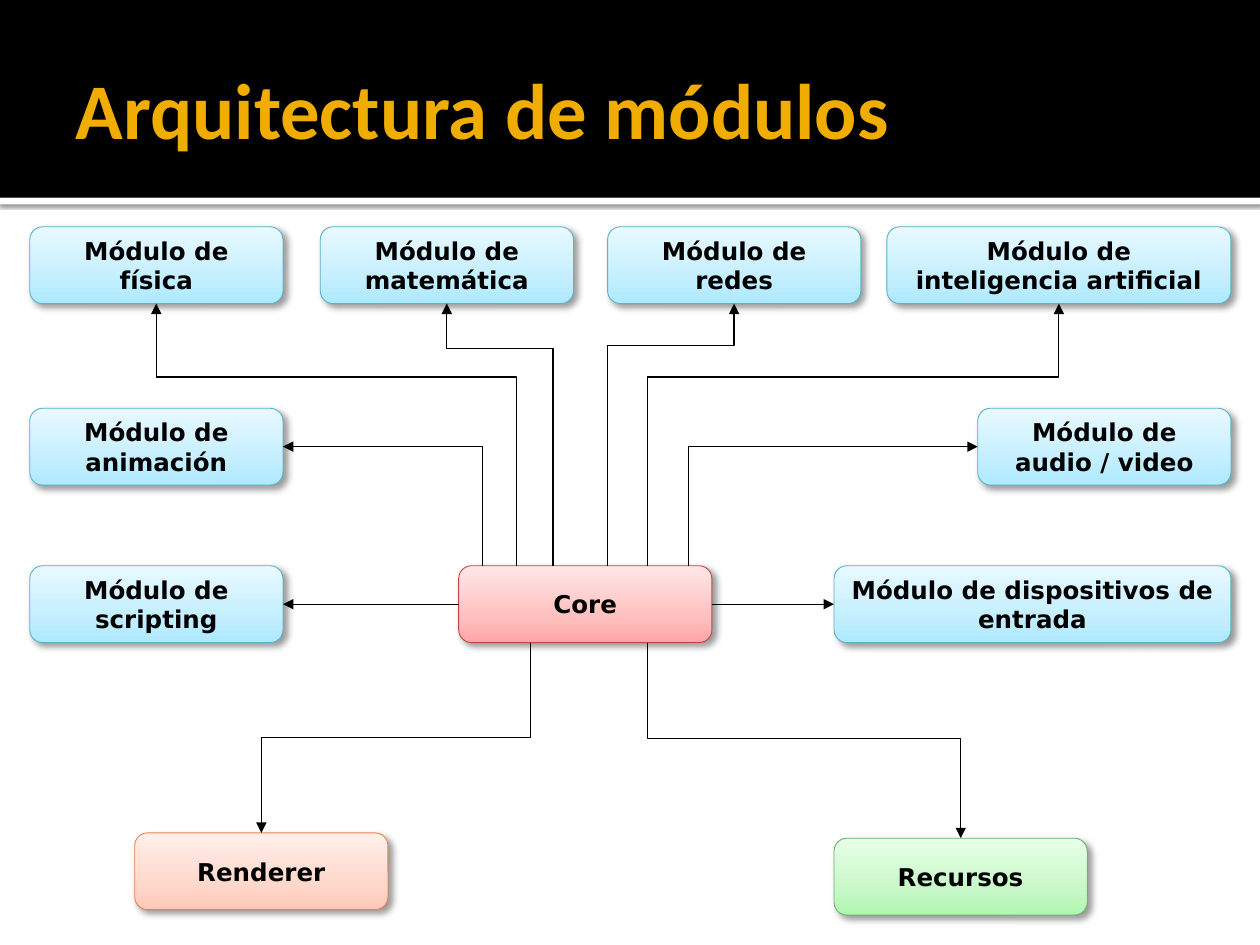
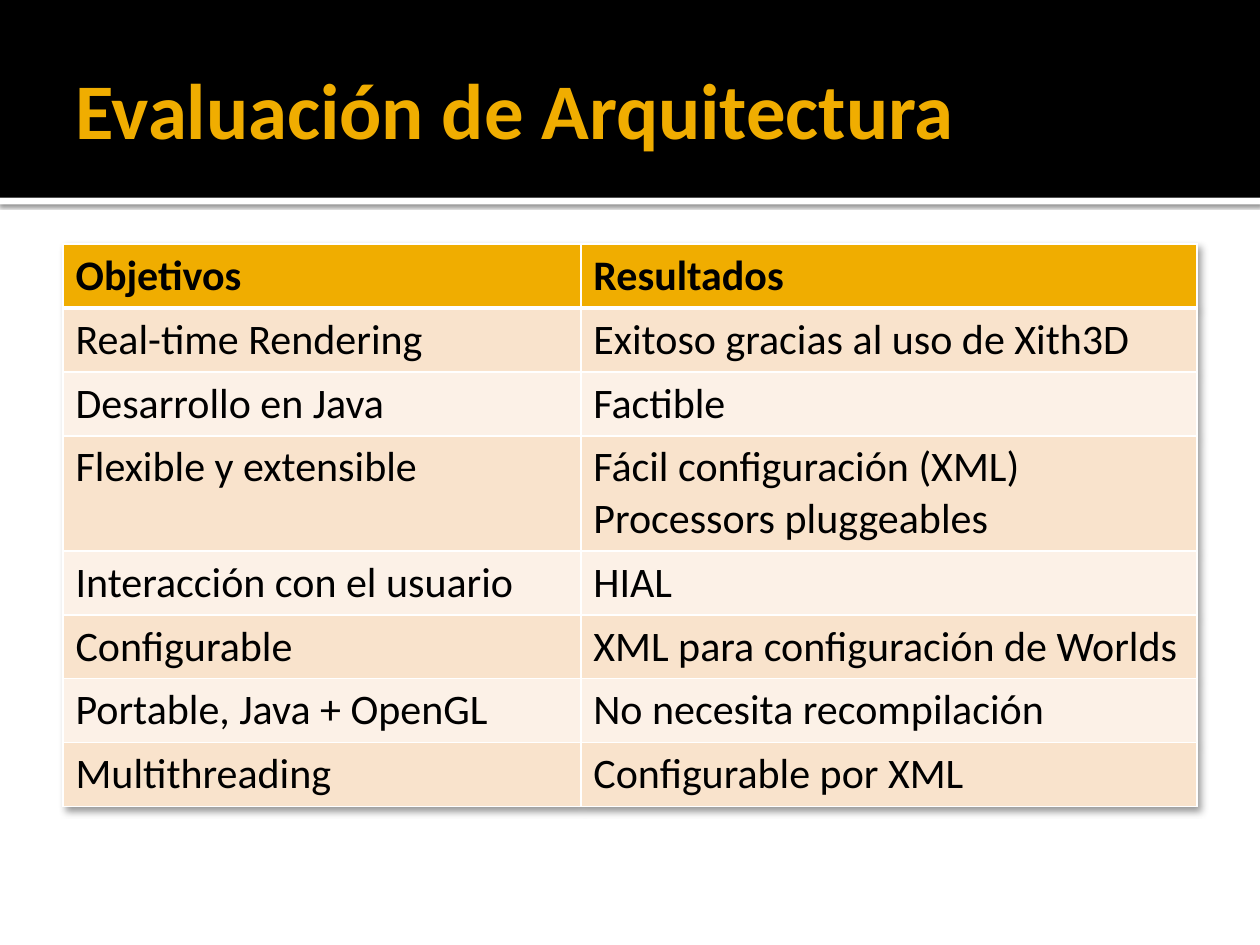
from lxml import etree
from pptx import Presentation
from pptx.dml.color import RGBColor
from pptx.enum import shapes, text
from pptx.oxml import ns
from pptx.util import Pt

BLACK, WHITE, AMBER = "000000", "FFFFFF", "F0AD00"
SAND, CREAM = "F9E3CC", "FCF1E7"
# Gradient from bottom to top, then the outline
BLUE = ("ADE9FF", "C5EFFF", "E9F9FF", "5BB3CA")
RED = ("FFA7A7", "FFC1C0", "FFE7E7", "C54342")
ORANGE = ("FFC8B7", "FFD8CC", "FFF0EC", "E7824C")
GREEN = ("B0F6B1", "C8F8C8", "E9FDE9", "67B569")
BOX_WIDTH, BOX_HEIGHT = 144.7, 43.9
LEFT_EDGE, RIGHT_EDGE = 17, 703.4
TOP_ROW, UPPER_ROW, CORE_ROW = 129.6, 233.3, 323.3


def color(value):
    return RGBColor.from_string(value)


def child(parent, tag, **attributes):
    """Append a DrawingML element and return it."""
    element = etree.SubElement(parent, ns.qn("a:" + tag))
    for name, value in attributes.items():
        element.set(name, str(value))
    return element


def add_color(parent, value, alpha=100):
    fill = child(parent, "srgbClr", val=value)
    if alpha < 100:
        child(fill, "alpha", val=alpha * 1000)


def add_shadow(effects, alpha=40, blur=4, distance=3, angle=45):
    shadow = child(effects, "outerShdw", blurRad=Pt(blur), dist=Pt(distance),
                   dir=angle * 60000, algn="tl", rotWithShape=0)
    add_color(shadow, BLACK, alpha)


class Deck:
    def __init__(self):
        self.presentation = Presentation()
        self.presentation.slide_width = Pt(720)
        self.presentation.slide_height = Pt(540)
        self.slide = None

    def format_text(self, paragraph, size, font="Calibri", value=BLACK, bold=True):
        paragraph.font.size = Pt(size)
        paragraph.font.name = font
        paragraph.font.bold = bold
        paragraph.font.color.rgb = color(value)

    def shape(self, kind, left, top, width, height):
        shape = self.slide.shapes.add_shape(kind, Pt(left), Pt(top), Pt(width), Pt(height))
        shape.shadow.inherit = False
        return shape

    def band(self, top, height, value):
        band = self.shape(shapes.MSO_SHAPE.RECTANGLE, 0, top, 720, height)
        band.fill.solid()
        band.fill.fore_color.rgb = color(value)
        band.line.fill.background()
        self.slide.shapes.title._element.addprevious(band._element)
        return band

    def new_slide(self, heading):
        self.slide = self.presentation.slides.add_slide(self.presentation.slide_layouts[5])
        strip = self.band(113, 3.8, WHITE)
        add_shadow(strip._element.spPr.find(ns.qn("a:effectLst")), 60, 2.5, 0.8, 90)
        self.band(0, 113, BLACK)
        title = self.slide.shapes.title
        title.left, title.top, title.width, title.height = Pt(36), Pt(12.2), Pt(648), Pt(98.6)
        frame = title.text_frame
        frame.text = heading
        frame.auto_size = text.MSO_AUTO_SIZE.NONE
        frame.vertical_anchor = text.MSO_ANCHOR.MIDDLE
        frame.margin_left = Pt(7.2)
        frame.margin_right = frame.margin_top = frame.margin_bottom = Pt(3.6)
        frame.paragraphs[0].alignment = text.PP_ALIGN.LEFT
        self.format_text(frame.paragraphs[0], 45, value=AMBER)

    def box(self, label, left, top, palette=BLUE, width=BOX_WIDTH):
        box = self.shape(shapes.MSO_SHAPE.FLOWCHART_ALTERNATE_PROCESS,
                         left, top, width, BOX_HEIGHT)
        *tints, outline = palette
        box.fill.gradient()
        box.fill.gradient_angle = 90
        properties = box._element.spPr
        stops = properties.find(".//" + ns.qn("a:gsLst"))
        stops.clear()
        for position, tint in zip((0, 35, 100), tints):
            add_color(child(stops, "gs", pos=position * 1000), tint)
        box.line.color.rgb = color(outline)
        box.line.width = Pt(0.5)
        add_shadow(properties.find(ns.qn("a:effectLst")))
        frame = box.text_frame
        frame.word_wrap = True
        frame.vertical_anchor = text.MSO_ANCHOR.MIDDLE
        paragraph = frame.paragraphs[0]
        paragraph.text = label
        paragraph.alignment = text.PP_ALIGN.CENTER
        paragraph.space_after = Pt(10)
        self.format_text(paragraph, 14, "DejaVu Sans")
        return box

    def connector(self, kind, *ends):
        connector = self.slide.shapes.add_connector(kind, *ends)
        connector.line.color.rgb = color(BLACK)
        connector.line.width = Pt(0.75)
        child(connector.line._get_or_add_ln(), "tailEnd", type="triangle")
        child(connector._element.spPr, "effectLst")
        return connector

    def straight_arrow(self, source, source_side, target, target_side):
        arrow = self.connector(shapes.MSO_CONNECTOR.STRAIGHT, 0, 0, 0, 0)
        arrow.begin_connect(source, source_side)
        arrow.end_connect(target, target_side)

    def elbow_arrow(self, start_x, source, target, bend=None):
        """Leave source vertically; without a bend, enter the side of target."""
        start_x = Pt(start_x)
        upward = target.top < source.top
        start_y = source.top if upward else source.top + source.height
        if bend is None:
            end_x = target.left if target.left > start_x else target.left + target.width
            end_y = target.top + target.height // 2
        else:
            end_x = target.left + target.width // 2
            end_y = target.top + target.height if upward else target.top
        leftward = end_x < start_x
        # The frame is turned a quarter about its centre, so its sides swap
        center_x, center_y = (start_x + end_x) // 2, (start_y + end_y) // 2
        half_width, half_height = abs(end_y - start_y) // 2, abs(end_x - start_x) // 2
        arrow = self.connector(shapes.MSO_CONNECTOR.ELBOW,
                               center_x - half_width, center_y - half_height,
                               center_x + half_width, center_y + half_height)
        properties = arrow._element.spPr
        frame = properties.find(ns.qn("a:xfrm"))
        frame.set("rot", str((90 if leftward else 270) * 60000))
        if leftward == upward:
            frame.set("flipH", "1")
        geometry = properties.find(ns.qn("a:prstGeom"))
        if bend is None:
            geometry.set("prst", "bentConnector2")
        else:
            guides = geometry.find(ns.qn("a:avLst"))
            if guides is None:
                guides = child(geometry, "avLst")
            child(guides, "gd", name="adj1", fmla=f"val {round(bend * 100000)}")

    def cell(self, cell, content, fill, bold, top_border, bottom_border):
        properties = cell._tc.get_or_add_tcPr()
        for side, width in zip("LRTB", (1, 1, top_border, bottom_border)):
            border = child(properties, "ln" + side, w=Pt(width))
            add_color(child(border, "solidFill"), WHITE)
        cell.fill.solid()
        cell.fill.fore_color.rgb = color(fill)
        cell.text_frame.text = content
        for paragraph in cell.text_frame.paragraphs:
            self.format_text(paragraph, 24, bold=bold)

    def table(self, rows, left, top, widths, row_height):
        frame = self.slide.shapes.add_table(len(rows), len(widths), Pt(left), Pt(top),
                                            Pt(sum(widths)), Pt(row_height * len(rows)))
        table = frame.table
        effects = child(table._tbl.tblPr, "effectLst")
        table._tbl.tblPr.insert(0, effects)
        add_shadow(effects)
        for column, width in zip(table.columns, widths):
            column.width = Pt(width)
        for index, row in enumerate(rows):
            table.rows[index].height = Pt(row_height)
            fill = AMBER if index == 0 else (CREAM, SAND)[index % 2]
            for column, content in enumerate(row):
                self.cell(table.cell(index, column), content, fill, index == 0,
                          3 if index == 1 else 1, 3 if index == 0 else 1)


def module_architecture(deck):
    deck.new_slide("Arquitectura de módulos")
    core = deck.box("Core", 262.1, CORE_ROW, RED)
    physics = deck.box("Módulo de física", LEFT_EDGE, TOP_ROW)
    maths = deck.box("Módulo de matemática", 183, TOP_ROW)
    networks = deck.box("Módulo de redes", 347.2, TOP_ROW)
    intelligence = deck.box("Módulo de inteligencia artificial",
                            RIGHT_EDGE - 196.6, TOP_ROW, width=196.6)
    animation = deck.box("Módulo de animación", LEFT_EDGE, UPPER_ROW)
    media = deck.box("Módulo de audio / video", RIGHT_EDGE - BOX_WIDTH, UPPER_ROW)
    scripting = deck.box("Módulo de scripting", LEFT_EDGE, CORE_ROW)
    devices = deck.box("Módulo de dispositivos de entrada",
                       RIGHT_EDGE - 226.8, CORE_ROW, width=226.8)
    renderer = deck.box("Renderer", 77, 475.9, ORANGE)
    resources = deck.box("Recursos", 476.6, 479, GREEN)

    for start_x, target, bend in (
        (295.2, physics, 0.72), (316.1, maths, 0.83),
        (347.2, networks, 0.84), (370.1, intelligence, 0.72),
        (275.8, animation, None), (393.3, media, None),
        (303.3, renderer, 0.5), (370.1, resources, 0.49),
    ):
        deck.elbow_arrow(start_x, core, target, bend)
    deck.straight_arrow(core, 1, scripting, 3)
    deck.straight_arrow(core, 3, devices, 1)


def architecture_evaluation(deck):
    deck.new_slide("Evaluación de Arquitectura")
    deck.table([
        ("Objetivos", "Resultados"),
        ("Real-time Rendering", "Exitoso gracias al uso de Xith3D"),
        ("Desarrollo en Java", "Factible"),
        ("Flexible y extensible", "Fácil configuración (XML)\nProcessors pluggeables"),
        ("Interacción con el usuario", "HIAL"),
        ("Configurable", "XML para configuración de Worlds"),
        ("Portable, Java + OpenGL", "No necesita recompilación"),
        ("Multithreading", "Configurable por XML"),
    ], 36, 139.5, (295.9, 352.1), 29.2)


def main():
    deck = Deck()
    module_architecture(deck)
    architecture_evaluation(deck)
    deck.presentation.save("out.pptx")


if __name__ == "__main__":
    main()
